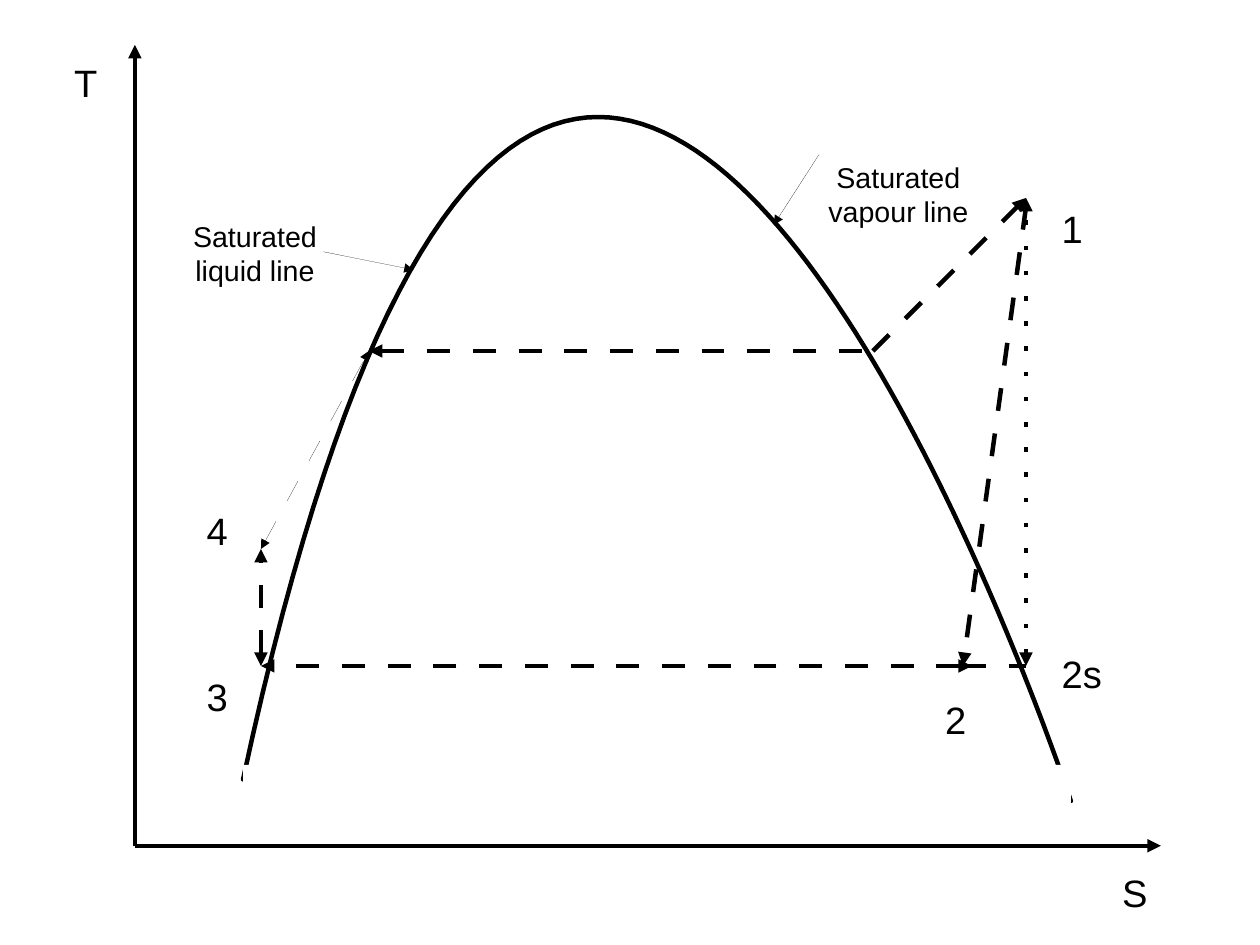
from dataclasses import dataclass
from typing import Optional

from lxml.etree import SubElement
from pptx import Presentation
from pptx.dml.color import RGBColor
from pptx.enum.shapes import MSO_CONNECTOR, MSO_SHAPE
from pptx.enum.text import MSO_AUTO_SIZE, PP_ALIGN
from pptx.oxml.ns import qn
from pptx.util import Pt

Point = tuple[float, float]

BLACK = "000000"
WHITE = "FFFFFF"
THICK = 2.83
HAIRLINE = 0

# Dash and gap lengths as multiples of the line width
DASHED = (5.08, 5.08)
DOTTED = (1, 4.6)
HAIRLINE_DASHED = (18.8, 18.8)

ORIGIN = (85, 532.8)
STATE_1 = (646.3, 124.7)
STATE_2 = (606.6, 419.5)
STATE_2S = (646.3, 419.5)
STATE_3 = (164.4, 419.5)
STATE_4 = (164.4, 345.8)
LIQUID_POINT = (232.4, 221.1)
VAPOUR_POINT = (549.9, 221.1)

DOME_CONTROLS = ((153.1, 491), (357.1, -455.8), (674.6, 504.6), (674.6, 504.6))
DOME_STEPS = 100


@dataclass
class Line:
    start: Point
    end: Point
    width: float = THICK
    dash: Optional[tuple[float, float]] = None
    arrow_start: bool = False
    arrow_end: bool = False


@dataclass
class Label:
    text: str
    left: float
    top: float
    width: float = 27.4
    height: float = 33.8
    size: float = 24
    wrap: bool = False
    alignment: PP_ALIGN = PP_ALIGN.LEFT


AXES = [
    Line((85, 28.3), ORIGIN, arrow_start=True),
    Line(ORIGIN, (731.3, 532.8), arrow_end=True),
]

PROCESSES = [
    Line((612.2, 419.5), STATE_3, dash=DASHED, arrow_start=True, arrow_end=True),
    Line(STATE_3, STATE_4, dash=DASHED, arrow_start=True, arrow_end=True),
    Line(STATE_4, LIQUID_POINT, HAIRLINE, HAIRLINE_DASHED, True, True),
    Line(LIQUID_POINT, VAPOUR_POINT, dash=DASHED, arrow_start=True),
    Line(STATE_2S, STATE_1, dash=DOTTED, arrow_start=True, arrow_end=True),
    Line(VAPOUR_POINT, STATE_1, dash=DASHED, arrow_end=True),
    Line((646.3, 130.4), STATE_2, dash=DASHED, arrow_end=True),
    Line(STATE_2, STATE_2S, dash=DASHED),
]

LEADERS = [
    Line((203.8, 158.6), (260.6, 170), HAIRLINE, arrow_end=True),
    Line((516, 97.2), (487.4, 141.7), HAIRLINE, arrow_end=True),
]

LABELS = [
    Label("T", 39.6, 33.8, 28.8),
    Label("S", 699.8, 544, 39.6, wrap=True),
    Label("1", 661.7, 126),
    Label("2s", 661.7, 406.5, 39.6),
    Label("2", 588.2, 434.9),
    Label("3", 123.1, 420.5),
    Label("4", 123.1, 316.1),
    Label("Saturated liquid line", 103, 134.3, 115.2, 47.5, 18, True, PP_ALIGN.CENTER),
    Label("Saturated vapour line", 508.3, 97.3, 115.2, 47.5, 18, True, PP_ALIGN.CENTER),
]


def paint(color_format, color: str) -> None:
    color_format.rgb = RGBColor.from_string(color)


def fill_with(shape, color: str) -> None:
    shape.shadow.inherit = False
    shape.fill.solid()
    paint(shape.fill.fore_color, color)


def draw_line(slide, line: Line) -> None:
    connector = slide.shapes.add_connector(
        MSO_CONNECTOR.STRAIGHT, *map(Pt, line.start + line.end))
    connector.line.fill.solid()
    paint(connector.line.fill.fore_color, BLACK)
    properties = connector.element.spPr
    outline = properties.find(qn("a:ln"))
    # A zero width must be written out, or the theme width applies
    outline.set("w", str(Pt(line.width)))
    if line.dash:
        pattern = SubElement(outline, qn("a:custDash"))
        dash, gap = (str(round(length * 100000)) for length in line.dash)
        SubElement(pattern, qn("a:ds"), d=dash, sp=gap)
    if line.arrow_start:
        SubElement(outline, qn("a:headEnd"), type="triangle")
    if line.arrow_end:
        SubElement(outline, qn("a:tailEnd"), type="triangle")
    SubElement(properties, qn("a:effectLst"))


def bezier_point(controls: tuple[Point, ...], t: float) -> Point:
    weights = ((1 - t) ** 3, 3 * t * (1 - t) ** 2, 3 * t ** 2 * (1 - t), t ** 3)
    x, y = (sum(weight * value for weight, value in zip(weights, values))
            for values in zip(*controls))
    return x, y


def draw_saturation_dome(slide) -> None:
    """Draw the closed dome and hide its base behind a white strip."""
    first, *others = [tuple(map(Pt, bezier_point(DOME_CONTROLS, step / DOME_STEPS)))
                      for step in range(DOME_STEPS + 1)]
    builder = slide.shapes.build_freeform(*first)
    builder.add_line_segments(others, close=True)
    dome = builder.convert_to_shape()
    fill_with(dome, WHITE)
    dome.line.width = Pt(THICK)
    paint(dome.line.color, BLACK)

    strip = slide.shapes.add_shape(
        MSO_SHAPE.RECTANGLE, Pt(153.1), Pt(481.9), Pt(521.5), Pt(28.3))
    fill_with(strip, WHITE)
    strip.line.fill.background()


def draw_label(slide, label: Label) -> None:
    box = slide.shapes.add_textbox(
        Pt(label.left), Pt(label.top), Pt(label.width), Pt(label.height))
    text_frame = box.text_frame
    text_frame.word_wrap = label.wrap
    text_frame.auto_size = MSO_AUTO_SIZE.SHAPE_TO_FIT_TEXT
    text_frame.text = label.text
    paragraph = text_frame.paragraphs[0]
    paragraph.alignment = label.alignment
    font = paragraph.runs[0].font
    font.name = "Arial"
    font.size = Pt(label.size)
    paint(font.color, BLACK)


def main() -> None:
    presentation = Presentation()
    presentation.slide_width = Pt(793.7)
    presentation.slide_height = Pt(595.28)
    slide = presentation.slides.add_slide(presentation.slide_layouts.get_by_name("Blank"))
    for axis in AXES:
        draw_line(slide, axis)
    draw_saturation_dome(slide)
    for line in PROCESSES + LEADERS:
        draw_line(slide, line)
    for label in LABELS:
        draw_label(slide, label)
    presentation.save("out.pptx")


if __name__ == "__main__":
    main()
